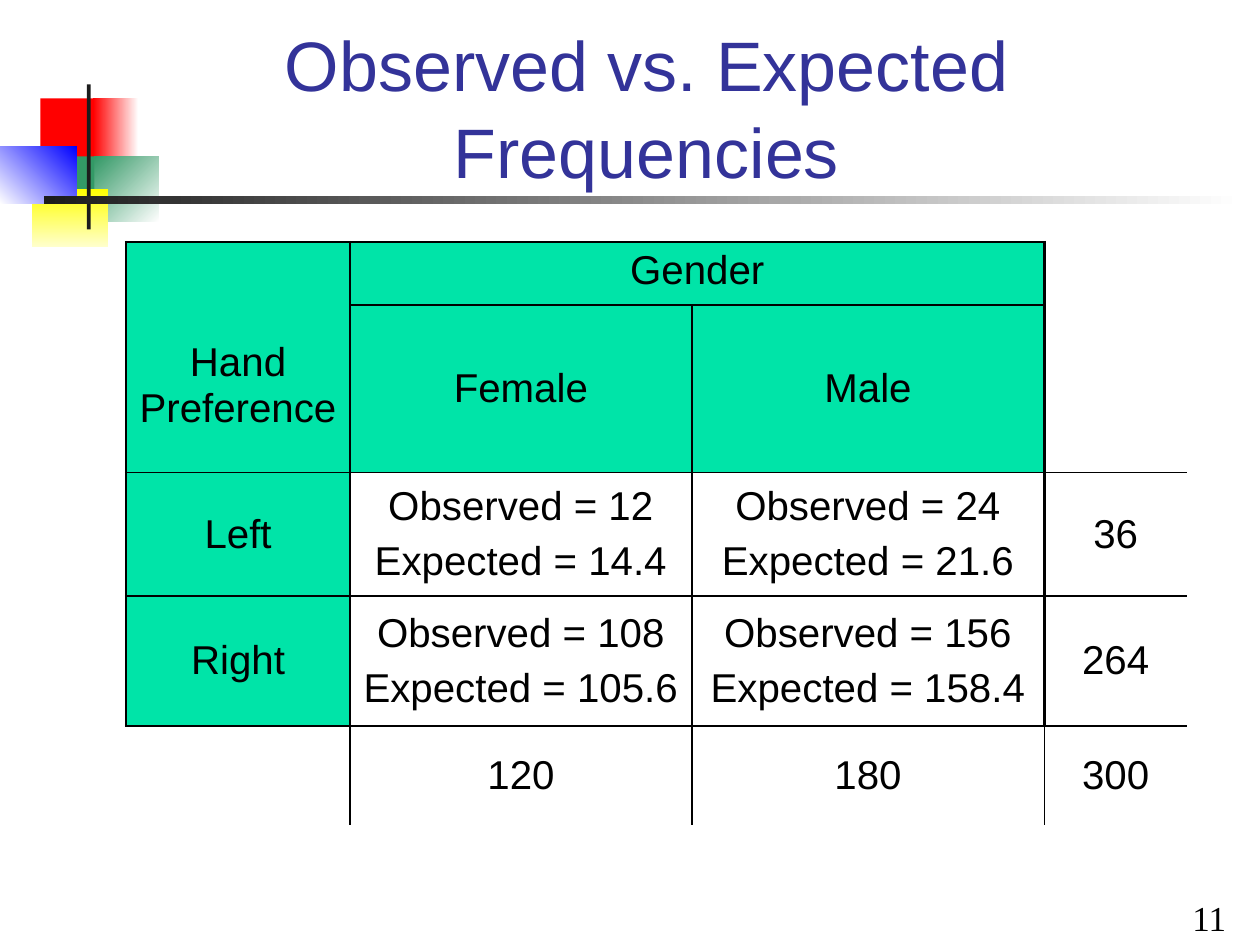
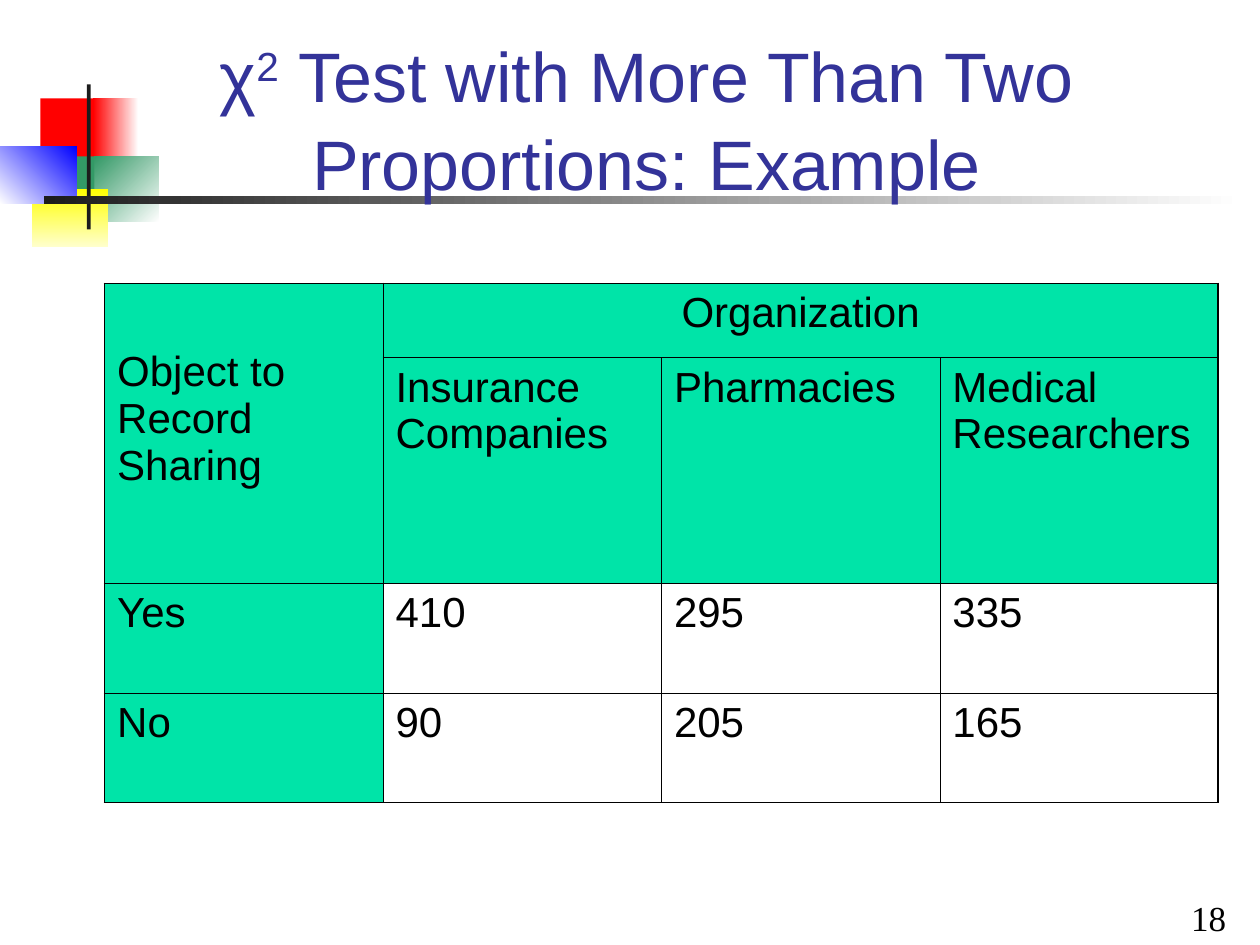
from dataclasses import dataclass

from lxml import etree
from pptx import Presentation
from pptx import util as u
from pptx.dml.color import RGBColor
from pptx.enum import shapes, text
from pptx.oxml.ns import qn

Align = text.PP_ALIGN
Anchor = text.MSO_ANCHOR


@dataclass(frozen=True)
class Theme:
    ink: str = "000000"
    title: str = "333399"
    head: str = "00E4A8"
    white: str = "FFFFFF"
    red: str = "FF0000"
    green: str = "339966"
    yellow: str = "FFFF00"
    cream: str = "FFFFCC"
    blue: str = "0000FF"
    dark: str = "1C1C1C"
    sans: str = "Arial"
    serif: str = "Times New Roman"
    big: float = 40
    page: float = 20


def write(frame, words, font, size, color, align=Align.LEFT, anchor=Anchor.TOP,
          before=0, pitch=None):
    frame.word_wrap = True
    frame.vertical_anchor = anchor
    for n, line in enumerate(words.split("\n")):
        para = frame.paragraphs[0] if n == 0 else frame.add_paragraph()
        para.alignment = align
        para.space_before = u.Pt(before)
        if pitch:
            para.line_spacing = pitch
        for part in line.split("^"):
            run = para.add_run()
            run.text = part
            run.font.name = font
            run.font.size = u.Pt(size)
            run.font.color.rgb = RGBColor.from_string(color)


def box(*sides):
    return [u.Inches(side) for side in sides]


class Deck:
    def __init__(self, theme):
        self.theme = theme
        self.show = Presentation()
        self.show.slide_width, self.show.slide_height = box(10, 7.5)
        self.slide = None

    def start(self, title, high, page):
        self.slide = self.show.slides.add_slide(self.show.slide_layouts[5])
        self.motif()
        self.title(title, high)
        self.number(page)

    def motif(self):
        t = self.theme
        group = self.slide.shapes.add_group_shape()
        for place, colors, angle in (
            ((0.32, 0.78, 0.48, 0.52), (t.red,), 0),
            ((0.74, 0.78, 0.36, 0.52), (t.white, t.red), 180),
            ((0.75, 1.24, 0.51, 0.52), (t.white, t.green), 225),
            ((0.43, 1.24, 0.32, 0.52), (t.green,), 0),
            ((0.25, 1.5, 0.61, 0.46), (t.yellow, t.cream), 90),
            ((0, 1.16, 0.61, 0.46), (t.blue, t.white), 135),
            ((0.69, 0.67, 0.03, 1.15), (t.dark,), 0),
            ((0.35, 1.56, 9.51, 0.06), (t.white, t.dark), 180),
        ):
            self.block(group, place, colors, angle)
        group.element.addnext(self.slide.shapes.title.element)

    def block(self, group, place, colors, angle):
        rect = group.shapes.add_shape(shapes.MSO_SHAPE.RECTANGLE, *box(*place))
        rect.shadow.inherit = False
        rect.line.fill.background()
        if len(colors) == 1:
            rect.fill.solid()
            rect.fill.fore_color.rgb = RGBColor.from_string(colors[0])
            return
        rect.fill.gradient()
        rect.fill.gradient_angle = 360 - angle
        for stop, color in zip(rect.fill.gradient_stops, colors):
            stop.color.rgb = RGBColor.from_string(color)

    def title(self, words, high):
        t = self.theme
        shape = self.slide.shapes.title
        shape.left, shape.top, shape.width, shape.height = box(1.26, 0.25, 7.74, high)
        shape.text_frame.auto_size = text.MSO_AUTO_SIZE.NONE
        write(shape.text_frame, words, t.sans, t.big, t.title,
              align=Align.CENTER, anchor=Anchor.BOTTOM, pitch=1.04)
        for raised in shape.element.findall(".//" + qn("a:rPr"))[1::2]:
            raised.set("baseline", "30000")

    def number(self, page):
        t = self.theme
        note = self.slide.shapes.add_textbox(*box(7.5, 7.15, 2.33, 0.35))
        write(note.text_frame, str(page), t.serif, t.page, t.ink,
              align=Align.RIGHT, anchor=Anchor.BOTTOM)

    def border(self, props, side, width):
        line = etree.SubElement(props, qn("a:ln" + side))
        if not width:
            etree.SubElement(line, qn("a:noFill"))
            return
        line.set("w", str(int(u.Pt(width))))
        fill = etree.SubElement(line, qn("a:solidFill"))
        etree.SubElement(fill, qn("a:srgbClr"), val=self.theme.ink)

    def table(self, place, cols, rows, data, spans, frame, bold, thin,
              size, before, lead, align, anchor):
        t = self.theme
        tall, wide = frame
        graphic = self.slide.shapes.add_table(
            len(rows), len(cols), *box(*place, sum(cols), sum(rows)))
        grid = graphic.table
        grid.first_row = grid.horz_banding = False
        for col, width in zip(grid.columns, cols):
            col.width = u.Inches(width)
        for row, height in zip(grid.rows, rows):
            row.height = u.Inches(height)
        for first, last in spans:
            grid.cell(*first).merge(grid.cell(*last))

        def weight(at, across, ends, limit, count):
            if at in (0, ends) and across < limit:
                return bold
            return 0 if at in (0, count) else thin

        def level(at, col):
            return weight(at, col, tall, wide, len(rows))

        def upright(at, row):
            return weight(at, row, wide, tall, len(cols))

        for n, (cell, node) in enumerate(zip(grid.iter_cells(), graphic.element.iter(qn("a:tc")))):
            r, c = divmod(n, len(cols))
            cell.margin_left = cell.margin_right = u.Inches(0.1)
            cell.margin_top = u.Inches(lead if n == 0 else 0.05)
            cell.margin_bottom = u.Inches(0.05)
            props = node.get_or_add_tcPr()
            self.border(props, "L", upright(c, r))
            self.border(props, "R", upright(c + cell.span_width, r))
            self.border(props, "T", level(r, c))
            self.border(props, "B", level(r + cell.span_height, c))
            if r < tall and c < wide and (r < 2 or c == 0):
                cell.fill.solid()
                cell.fill.fore_color.rgb = RGBColor.from_string(t.head)
            else:
                cell.fill.background()
            if data[r][c]:
                banner = cell.span_width > 1
                write(cell.text_frame, data[r][c], t.sans, size, t.ink, before=before,
                      align=Align.CENTER if banner else align)
                cell.vertical_anchor = Anchor.TOP if banner else anchor


def pair(seen, due):
    return f"Observed = {seen}\nExpected = {due}"


def main():
    deck = Deck(Theme())

    deck.start("Observed vs. Expected Frequencies", 1.33, 11)
    deck.table(
        (1, 1.92), (1.78, 2.71, 2.8, 1.13), (0.5, 1.33, 0.98, 1.03, 0.79),
        (
            ("Hand Preference", "Gender", "", ""),
            ("", "Female", "Male", ""),
            ("Left", pair(12, 14.4), pair(24, 21.6), "36"),
            ("Right", pair(108, 105.6), pair(156, 158.4), "264"),
            ("", "120", "180", "300"),
        ),
        spans=(((0, 0), (1, 0)), ((0, 1), (0, 2)), ((0, 3), (1, 3))),
        frame=(4, 3), bold=1.47, thin=1.08, size=23, before=5.8, lead=0.5,
        align=Align.CENTER, anchor=Anchor.MIDDLE)

    deck.start("χ^2^ Test with More Than Two Proportions: Example", 1.42, 18)
    deck.table(
        (0.83, 2.25), (2.21,) * 4, (0.59, 1.79, 0.87, 0.87),
        (
            ("Object to Record Sharing", "Organization", "", ""),
            ("", "Insurance Companies", "Pharmacies", "Medical Researchers"),
            ("Yes", "410", "295", "335"),
            ("No", "90", "205", "165"),
        ),
        spans=(((0, 0), (1, 0)), ((0, 1), (0, 3))),
        frame=(4, 4), bold=1.08, thin=0.45, size=24, before=6, lead=0.52,
        align=Align.LEFT, anchor=Anchor.TOP)

    deck.show.save("out.pptx")


if __name__ == "__main__":
    main()
